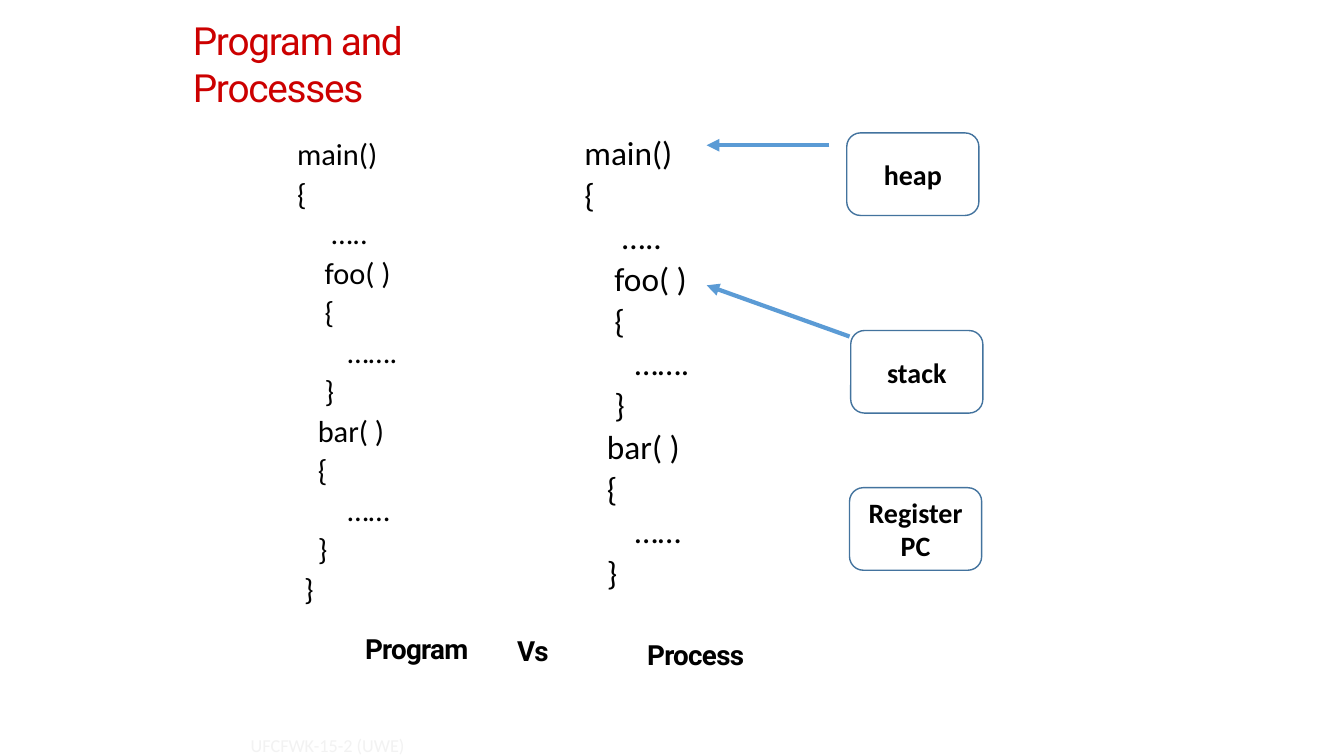
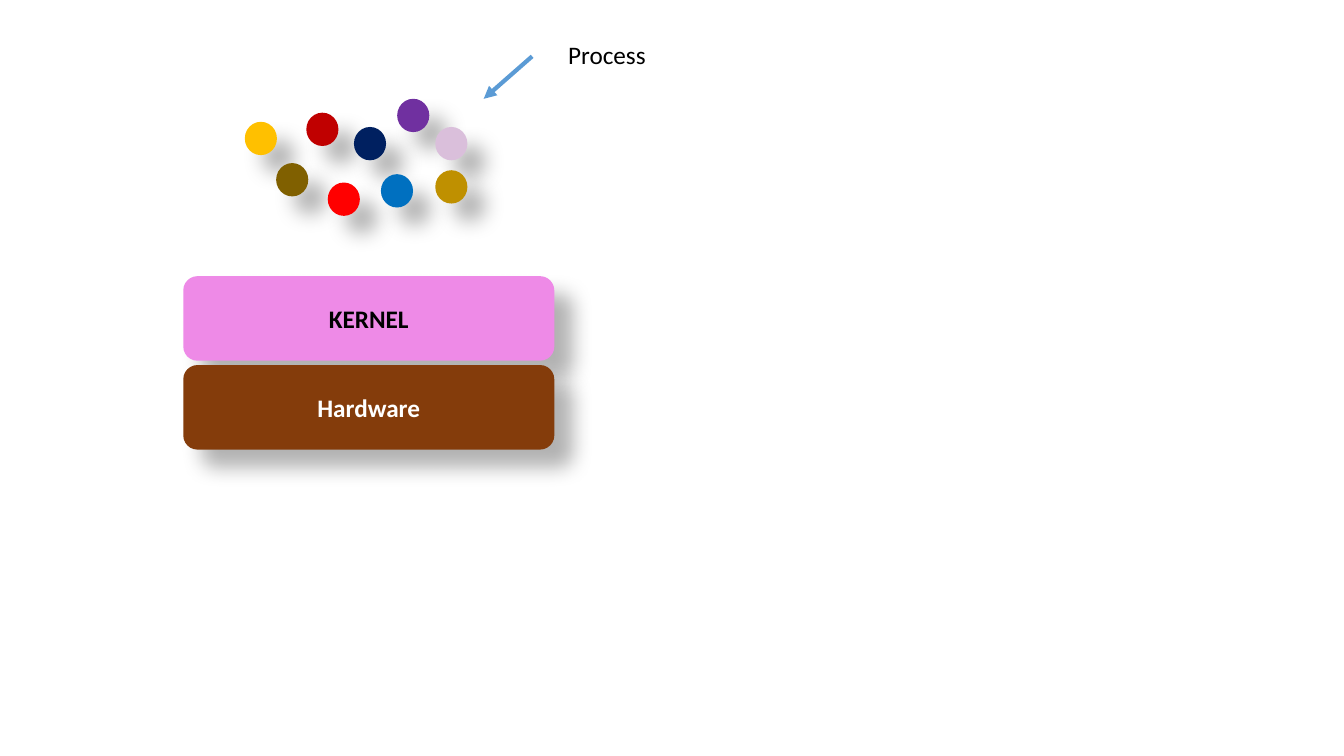
import pptx
import pptx.util
import pptx.dml.color
import pptx.enum.shapes
import pptx.enum.text
import pptx.oxml.ns
from lxml import etree

Cm, Pt = pptx.util.Cm, pptx.util.Pt
SHAPES = pptx.enum.shapes.MSO_SHAPE
ALIGN = pptx.enum.text.PP_ALIGN
ANCHOR = pptx.enum.text.MSO_ANCHOR
qn = pptx.oxml.ns.qn

COLORS = {
    "title": "CC0000", "text": "000000", "light": "FFFFFF", "footer": "F2F2F2",
    "arrow": "5B9BD5", "outline": "43739E", "kernel": "EE8AE7", "hardware": "843C0B",
    "amber": "FFC000", "crimson": "C00000", "olive": "806000", "red": "FF0000",
    "navy": "002060", "blue": "0070C0", "purple": "7030A0", "lilac": "DABFDB",
    "gold": "BF9000",
}
BODY_FONT, HEAD_FONT = "Calibri", "Roboto"
DEFAULT_INSETS = (0.25, 0.13, 0.25, 0.13)

# Content: positions and sizes in centimetres
TITLE = "Program and Processes"
FOOTER = "UFCFWK-15-2 (UWE)"
PROCESS_CODE = [
    "main()", "{", "     …..", "    foo( )", "    {", "\t…….", "    }",
    "   bar( )", "   {", "   \t……", "   }",
]
PROGRAM_CODE = PROCESS_CODE + [" }"]
LISTINGS = [(PROGRAM_CODE, 7.24, 3.53, 21.7), (PROCESS_CODE, 14.48, 3.48, 23.8)]
CAPTIONS = [("Program", 8.97, 15.85), ("Vs", 12.8, 15.88), ("Process", 16.08, 15.98)]
MEMORY_PARTS = [("heap", 21.34, 3.35), ("stack", 21.44, 8.33), ("Register PC", 21.41, 12.29)]
MEMORY_ARROWS = [((20.9, 3.66), (17.81, 3.66)), ((21.41, 8.48), (17.81, 7.19))]

PROCESS_DOTS = [
    ("amber", 6.17, 3.07), ("crimson", 7.72, 2.84), ("olive", 6.96, 4.11),
    ("red", 8.26, 4.6), ("navy", 8.92, 3.2), ("blue", 9.6, 4.39),
    ("purple", 10.01, 2.49), ("lilac", 10.97, 3.2), ("gold", 10.97, 4.29),
]
LAYERS = [("KERNEL", "kernel", "text"), ("Hardware", "hardware", "light")]
LAYER_TOP, LAYER_STEP = 6.96, 2.24


def rgb(name):
    return pptx.dml.color.RGBColor.from_string(COLORS[name])


def write_text(shape, lines, size=18, font=BODY_FONT, color="text", bold=False,
               align=ALIGN.LEFT, anchor=ANCHOR.TOP, insets=DEFAULT_INSETS, wrap=True,
               tracking=0, line_spacing=None, space_before=0):
    """Fill a shape with one paragraph per line, all in the same format."""
    frame = shape.text_frame
    frame.word_wrap = wrap
    frame.vertical_anchor = anchor
    (frame.margin_left, frame.margin_top,
     frame.margin_right, frame.margin_bottom) = (Cm(inset) for inset in insets)
    for index, line in enumerate([lines] if isinstance(lines, str) else lines):
        paragraph = frame.add_paragraph() if index else frame.paragraphs[0]
        paragraph.alignment = align
        if line_spacing:
            paragraph.line_spacing = line_spacing
        if index and space_before:
            paragraph.space_before = Pt(space_before)
        run = paragraph.add_run()
        run.text = line
        run.font.size, run.font.name, run.font.bold = Pt(size), font, bold
        run.font.color.rgb = rgb(color)
        if tracking:
            run.font._element.set("spc", str(round(tracking * 100)))


def add_text(slide, lines, box, **text_format):
    write_text(slide.shapes.add_textbox(*map(Cm, box)), lines, **text_format)


def add_block(slide, kind, box, fill=None, outline=None, shadow=False):
    shape = slide.shapes.add_shape(kind, *map(Cm, box))
    shape.shadow.inherit = False
    if fill:
        shape.fill.solid()
        shape.fill.fore_color.rgb = rgb(fill)
    else:
        shape.fill.background()
    if outline:
        shape.line.color.rgb = rgb(outline)
        shape.line.width = Pt(1)
    else:
        shape.line.fill.background()
    if shadow:
        effects = shape._element.spPr.find(qn("a:effectLst"))
        outer = etree.SubElement(effects, qn("a:outerShdw"), blurRad=str(Pt(15)),
                                 dist=str(Pt(18)), dir="2700000", algn="tl",
                                 rotWithShape="0")
        tint = etree.SubElement(outer, qn("a:srgbClr"), val=COLORS["text"])
        etree.SubElement(tint, qn("a:alpha"), val="30000")
    return shape


def add_arrow(slide, start, end):
    connector = slide.shapes.add_connector(
        pptx.enum.shapes.MSO_CONNECTOR.STRAIGHT, *map(Cm, start + end))
    connector.line.color.rgb = rgb("arrow")
    connector.line.width = Pt(3)
    etree.SubElement(connector.line._get_or_add_ln(), qn("a:tailEnd"), type="triangle")
    etree.SubElement(connector._element.spPr, qn("a:effectLst"))


def build_program_slide(slide):
    add_text(slide, TITLE, (4.78, 0.33, 9.7, 1.27), size=27.7, font=HEAD_FONT,
             color="title", tracking=-0.9, insets=(0.08, 0.1, 0, 0))
    # Code listings and their captions
    for code, left, top, size in LISTINGS:
        add_text(slide, code, (left, top, 5.54, 12.09), size=size,
                 line_spacing=0.7, space_before=10)
    for caption, left, top in CAPTIONS:
        add_text(slide, caption, (left, top, 3.28, 0.91), size=19.8, font=HEAD_FONT,
                 bold=True, tracking=-0.5, insets=(0.23, 0.08, 0, 0))
    # Memory parts of the process
    for label, left, top in MEMORY_PARTS:
        part = add_block(slide, SHAPES.ROUNDED_RECTANGLE, (left, top, 3.33, 2.08),
                         outline="outline")
        write_text(part, label, size=20, bold=True, align=ALIGN.CENTER,
                   anchor=ANCHOR.MIDDLE)
    for start, end in MEMORY_ARROWS:
        add_arrow(slide, start, end)
    add_text(slide, FOOTER, (6.07, 18.4, 6, 0.65), size=13, color="footer",
             insets=(0.25, 0.1, 0, 0))


def build_kernel_slide(slide):
    # Running processes
    for color, left, top in PROCESS_DOTS:
        add_block(slide, SHAPES.OVAL, (left, top, 0.81, 0.84), fill=color, shadow=True)
    add_text(slide, "Process", (14.07, 0.86, 2.49, 1.02), wrap=False)
    add_arrow(slide, (13.41, 1.42), (12.19, 2.49))
    # System layers
    for index, (label, fill, color) in enumerate(LAYERS):
        layer = add_block(slide, SHAPES.ROUNDED_RECTANGLE,
                          (4.62, LAYER_TOP + index * LAYER_STEP, 9.35, 2.13),
                          fill=fill, shadow=True)
        write_text(layer, label, color=color, bold=True, align=ALIGN.CENTER,
                   anchor=ANCHOR.MIDDLE)


def main():
    presentation = pptx.Presentation()
    presentation.slide_width, presentation.slide_height = Cm(33.87), Cm(19.05)
    for build in (build_program_slide, build_kernel_slide):
        build(presentation.slides.add_slide(presentation.slide_layouts[6]))
    presentation.save("out.pptx")


if __name__ == "__main__":
    main()
